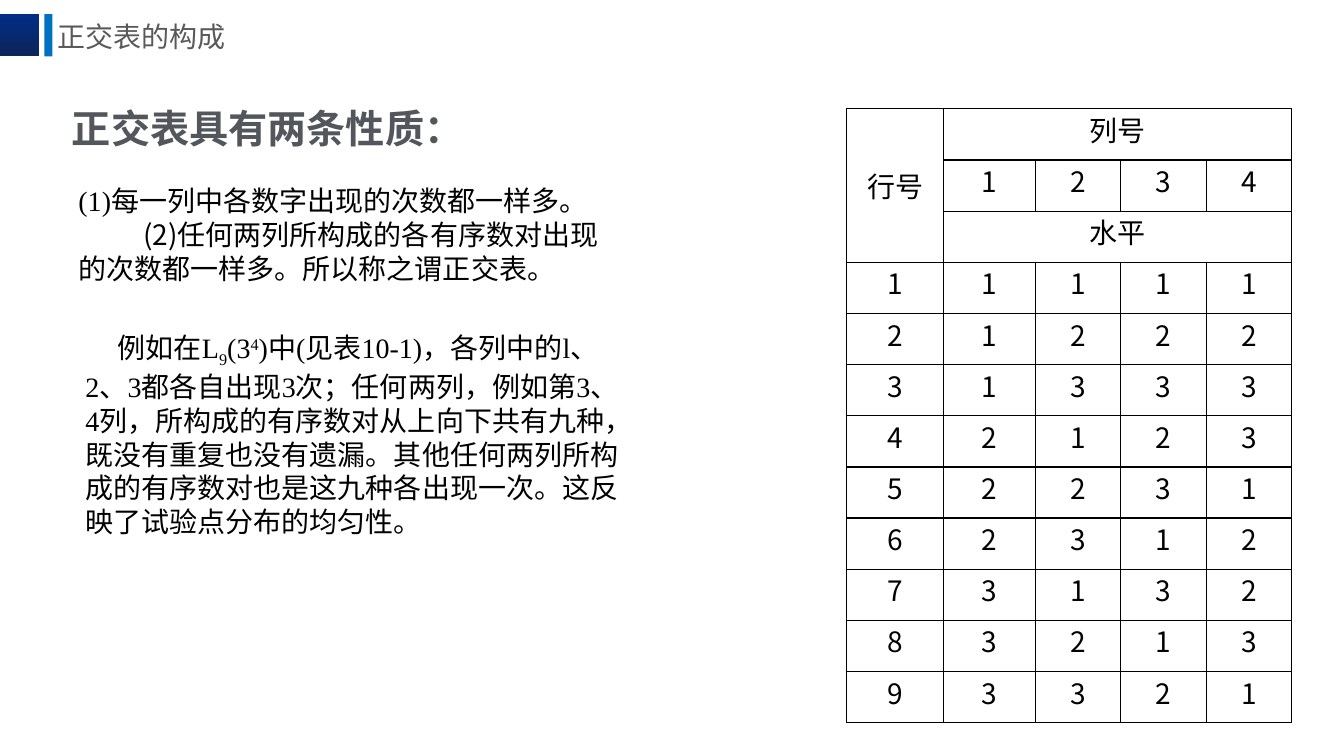
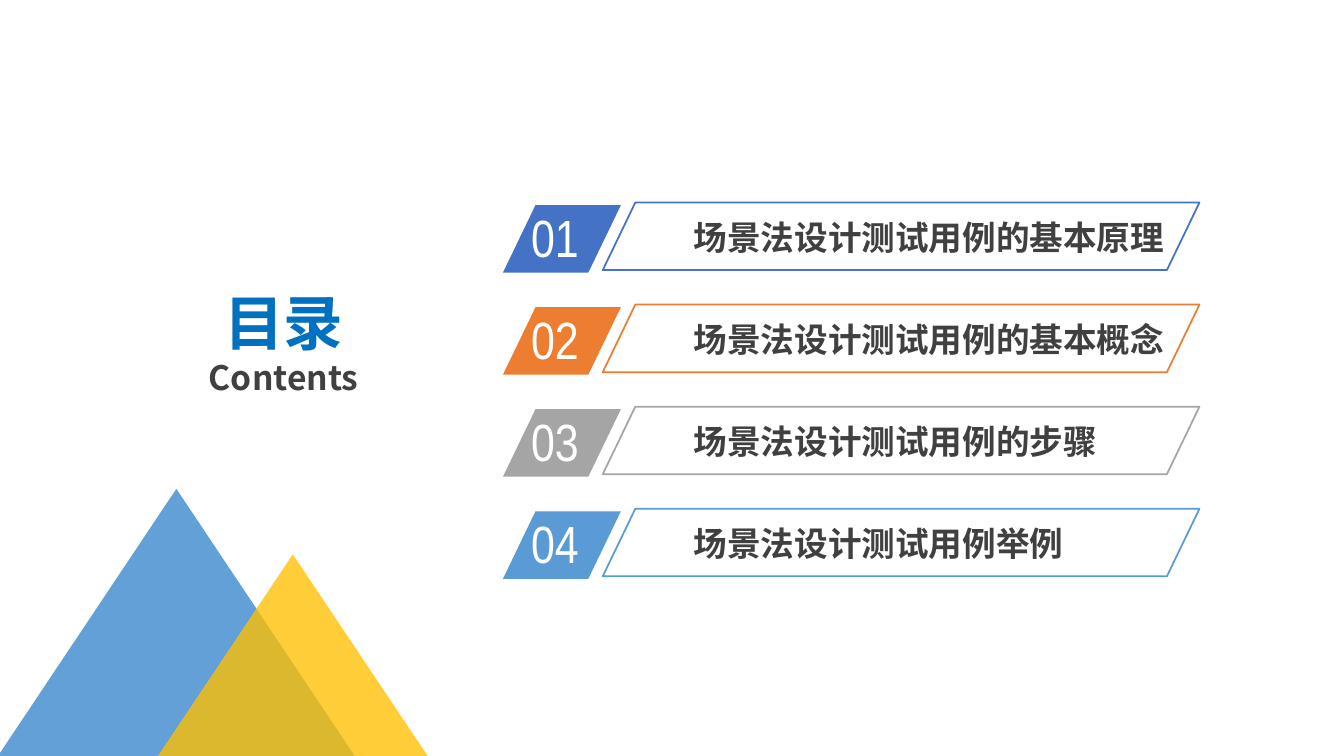
from dataclasses import dataclass
from typing import NamedTuple

from lxml.etree import SubElement
from pptx import Presentation
from pptx.dml.color import RGBColor
from pptx.enum.shapes import MSO_SHAPE as Preset
from pptx.enum.text import MSO_ANCHOR as Anchor, PP_ALIGN as Align
from pptx.oxml.ns import qn
from pptx.util import Emu, Inches, Pt

COLUMNS, ROWS = 160, 90
WIDTH, HEIGHT = Inches(13.333), Inches(7.5)
SANS, SERIF, NARROW = "Noto Sans CJK SC", "Times New Roman", "Arial Narrow"
BLACK, WHITE, DARK, BLUE = "000000", "FFFFFF", "404040", "0070C0"
SLANT = 0.482


class Box(NamedTuple):
    column: float
    row: float
    columns: float
    rows: float

    def emu(self) -> tuple[Emu, Emu, Emu, Emu]:
        return across(self.column), down(self.row), across(self.columns), down(self.rows)


@dataclass(frozen=True)
class Style:
    size: float
    colour: str = BLACK
    bold: bool = False
    latin: str = SANS


@dataclass(frozen=True)
class Entry:
    label: str
    colour: str


@dataclass(frozen=True)
class Triangle:
    box: Box
    colour: str
    opacity: int


BODY = Style(20, latin=SERIF)
CELL = Style(20)
NUMBER = Style(37.4, WHITE, latin=NARROW)
LABEL = Style(24, DARK, True)

ENTRIES = [
    Entry("场景法设计测试用例的基本原理", "4472C4"),
    Entry("场景法设计测试用例的基本概念", "ED7D31"),
    Entry("场景法设计测试用例的步骤", "A5A5A5"),
    Entry("场景法设计测试用例举例", "5B9BD5"),
]
TRIANGLES = [
    Triangle(Box(-1.68, 58.2, 45.36, 33.96), "5B9BD5", 95),
    Triangle(Box(17.76, 66, 34.2, 25.56), "FFC000", 78),
]
ARRAY = ["1111", "1222", "1333", "2123", "2231", "2312", "3132", "3213", "3321"]
EXAMPLE = [
    ("例如在L", 0), ("9", -25), ("(3", 0), ("4", 30),
    (")中(见表10-1)，各列中的l、2、3都各自出现3次；任何两列，例如第3、4列，"
     "所构成的有序数对从上向下共有九种，既没有重复也没有遗漏。"
     "其他任何两列所构成的有序数对也是这九种各出现一次。这反映了试验点分布的均匀性。", 0),
]


def across(columns: float) -> Emu:
    return Emu(round(WIDTH * columns / COLUMNS))


def down(rows: float) -> Emu:
    return Emu(round(HEIGHT * rows / ROWS))


def rgb(colour: str) -> RGBColor:
    return RGBColor.from_string(colour)


def format_run(run, style: Style, baseline: int = 0) -> None:
    run.font.size = Pt(style.size)
    run.font.bold = style.bold
    run.font.color.rgb = rgb(style.colour)
    run.font.name = style.latin
    properties = run._r.get_or_add_rPr()
    SubElement(properties, qn("a:ea")).set("typeface", SANS)
    if baseline:
        properties.set("baseline", str(baseline * 1000))


def format_paragraph(paragraph, style: Style, align: Align = Align.LEFT) -> None:
    paragraph.alignment = align
    for run in paragraph.runs:
        format_run(run, style)


def add_frame(slide, box: Box, anchor: Anchor = Anchor.MIDDLE, wrap: bool = True):
    frame = slide.shapes.add_textbox(*box.emu()).text_frame
    frame.word_wrap = wrap
    frame.vertical_anchor = anchor
    return frame


def add_text(slide, box: Box, text: str, style: Style,
             align: Align = Align.LEFT, wrap: bool = True):
    frame = add_frame(slide, box, wrap=wrap)
    frame.text = text
    format_paragraph(frame.paragraphs[0], style, align)
    return frame


def set_body_spacing(paragraph, indent: float) -> None:
    paragraph.line_spacing = Pt(24.2)
    paragraph._p.get_or_add_pPr().set("indent", str(across(indent)))


def add_preset(slide, preset: Preset, box: Box, fill: str = "", line: str = ""):
    shape = slide.shapes.add_shape(preset, *box.emu())
    shape.shadow.inherit = False
    if fill:
        shape.fill.solid()
        shape.fill.fore_color.rgb = rgb(fill)
    else:
        shape.fill.background()
    if line:
        shape.line.color.rgb = rgb(line)
        shape.line.width = Pt(1.25)
    else:
        shape.line.fill.background()
    return shape


def add_parallelogram(slide, box: Box, fill: str = "", line: str = "") -> None:
    add_preset(slide, Preset.PARALLELOGRAM, box, fill, line).adjustments[0] = SLANT


def add_triangle(slide, triangle: Triangle) -> None:
    shape = add_preset(slide, Preset.ISOSCELES_TRIANGLE, triangle.box, triangle.colour)
    colour = next(shape._element.spPr.iter(qn("a:srgbClr")))
    SubElement(colour, qn("a:alpha")).set("val", str(triangle.opacity * 1000))


def add_title_band(slide, title: str) -> None:
    block = add_preset(slide, Preset.RECTANGLE, Box(-0.12, 1.68, 4.8, 5.04), BLUE)
    block.fill.gradient()
    block.fill.gradient_angle = 270
    for stop, colour in zip(block.fill.gradient_stops, ("012D86", "0E2557")):
        stop.color.rgb = rgb(colour)
    add_preset(slide, Preset.RECTANGLE, Box(5.28, 1.68, 0.96, 5.04), BLUE)
    add_text(slide, Box(5.64, 0.72, 39.12, 7.32), title, Style(20, "595959"))


def format_cell(cell) -> None:
    cell.margin_left = cell.margin_right = Inches(0.07)
    cell.margin_top = cell.margin_bottom = 0
    properties = cell._tc.get_or_add_tcPr()
    for side in "LRTB":
        line = SubElement(properties, qn(f"a:ln{side}"), w=str(Pt(1)))
        SubElement(SubElement(line, qn("a:solidFill")), qn("a:srgbClr")).set("val", BLACK)
    cell.fill.background()
    format_paragraph(cell.text_frame.paragraphs[0], CELL, Align.CENTER)


def add_array_table(slide) -> None:
    widths = [11.52, 10.92, 10.2, 10.2, 10.08]
    row_height = 6.09
    texts = [["行号", "列号", "", "", ""], ["", *"1234"], ["", "水平", "", "", ""]]
    texts += [[str(number), *levels] for number, levels in enumerate(ARRAY, 1)]
    box = Box(100.8, 12.96, sum(widths), row_height * len(texts))
    table = slide.shapes.add_table(len(texts), len(widths), *box.emu()).table
    table.first_row = table.horz_banding = False
    for column, width in zip(table.columns, widths):
        column.width = across(width)
    for row, values in zip(table.rows, texts):
        row.height = down(row_height)
        for cell, value in zip(row.cells, values):
            cell.text = value
            format_cell(cell)
    table.cell(0, 0).merge(table.cell(2, 0))
    table.cell(0, 0).vertical_anchor = Anchor.MIDDLE
    for row in (0, 2):
        table.cell(row, 1).merge(table.cell(row, 4))


def build_properties(slide) -> None:
    add_title_band(slide, "正交表的构成")
    add_text(slide, Box(7.2, 11.76, 49.32, 6.84), "正交表具有两条性质：",
             Style(28, "53575C", True), Align.CENTER, wrap=False)
    rules = add_frame(slide, Box(8.16, 21.2, 66.72, 13.3), Anchor.TOP)
    rules.text = ("(1)每一列中各数字出现的次数都一样多。\n"
                  "(2)任何两列所构成的各有序数对出现的次数都一样多。所以称之谓正交表。")
    for paragraph, style, indent in zip(rules.paragraphs, (BODY, CELL), (0, 7.7)):
        format_paragraph(paragraph, style)
        set_body_spacing(paragraph, indent)
    add_array_table(slide)
    example = add_frame(slide, Box(9, 39.3, 66.72, 25.4), Anchor.TOP).paragraphs[0]
    set_body_spacing(example, 3.84)
    for text, baseline in EXAMPLE:
        run = example.add_run()
        run.text = text
        format_run(run, BODY, baseline)


def build_contents(slide) -> None:
    heading = add_text(slide, Box(14.04, 36.36, 39.48, 8.64), "目录",
                       Style(42.6, BLUE, True), Align.CENTER)
    subtitle = heading.add_paragraph()
    subtitle.text = "Contents"
    format_paragraph(subtitle, LABEL, Align.CENTER)
    for index, entry in enumerate(ENTRIES):
        top = 24.12 + 12.15 * index
        add_parallelogram(slide, Box(59.88, top + 0.3, 14.04, 8.04), fill=entry.colour)
        add_text(slide, Box(62.04, top - 0.3, 13.44, 8.76), f"{index + 1:02}", NUMBER)
        add_text(slide, Box(81.4, top + 1.1, 61.3, 6), entry.label, LABEL, wrap=False)
        add_parallelogram(slide, Box(71.76, top, 71.04, 8.04), line=entry.colour)
    for triangle in TRIANGLES:
        add_triangle(slide, triangle)


def main() -> None:
    presentation = Presentation()
    presentation.slide_width, presentation.slide_height = WIDTH, HEIGHT
    blank = presentation.slide_layouts[6]
    for build in (build_properties, build_contents):
        build(presentation.slides.add_slide(blank))
    presentation.save("out.pptx")


if __name__ == "__main__":
    main()
